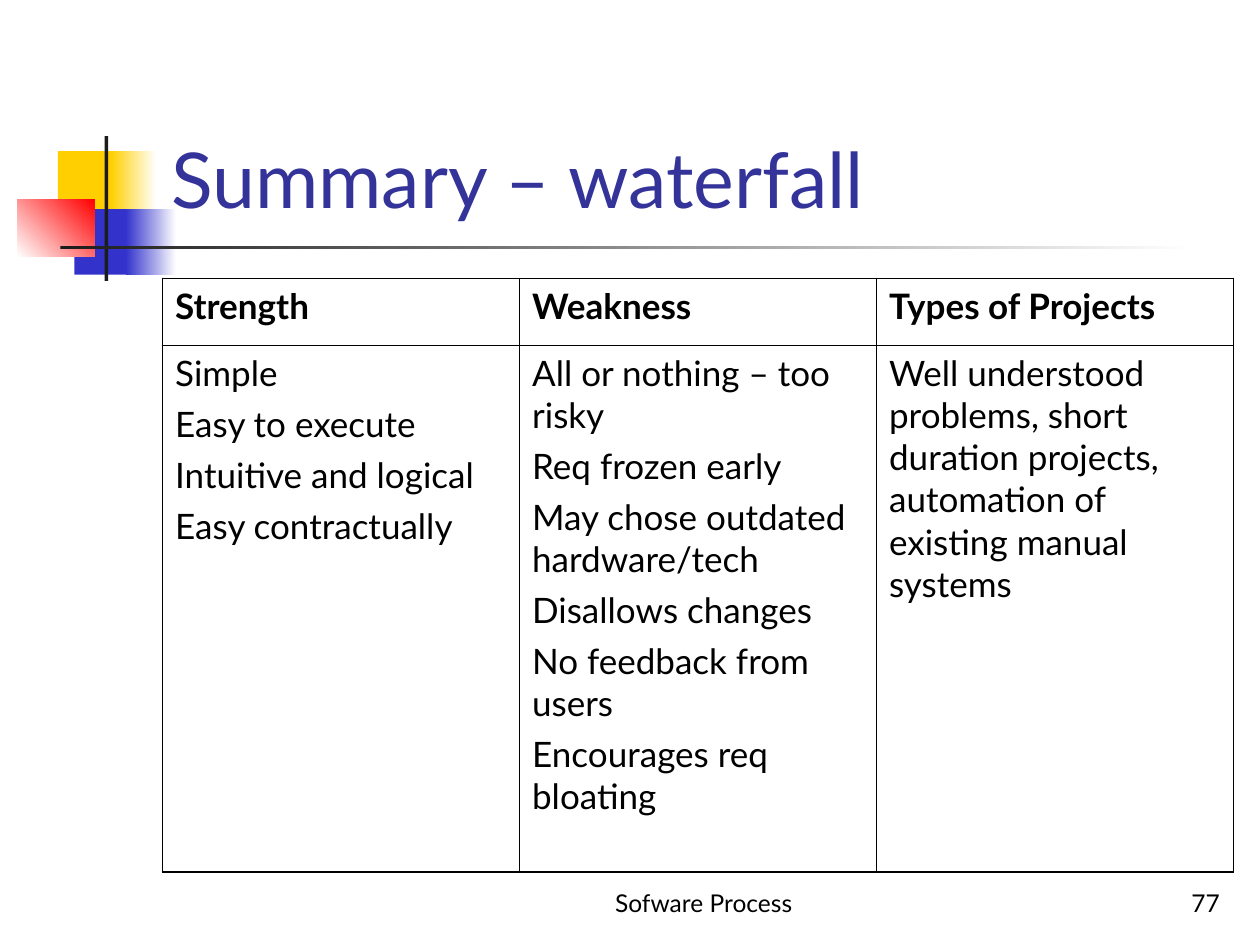
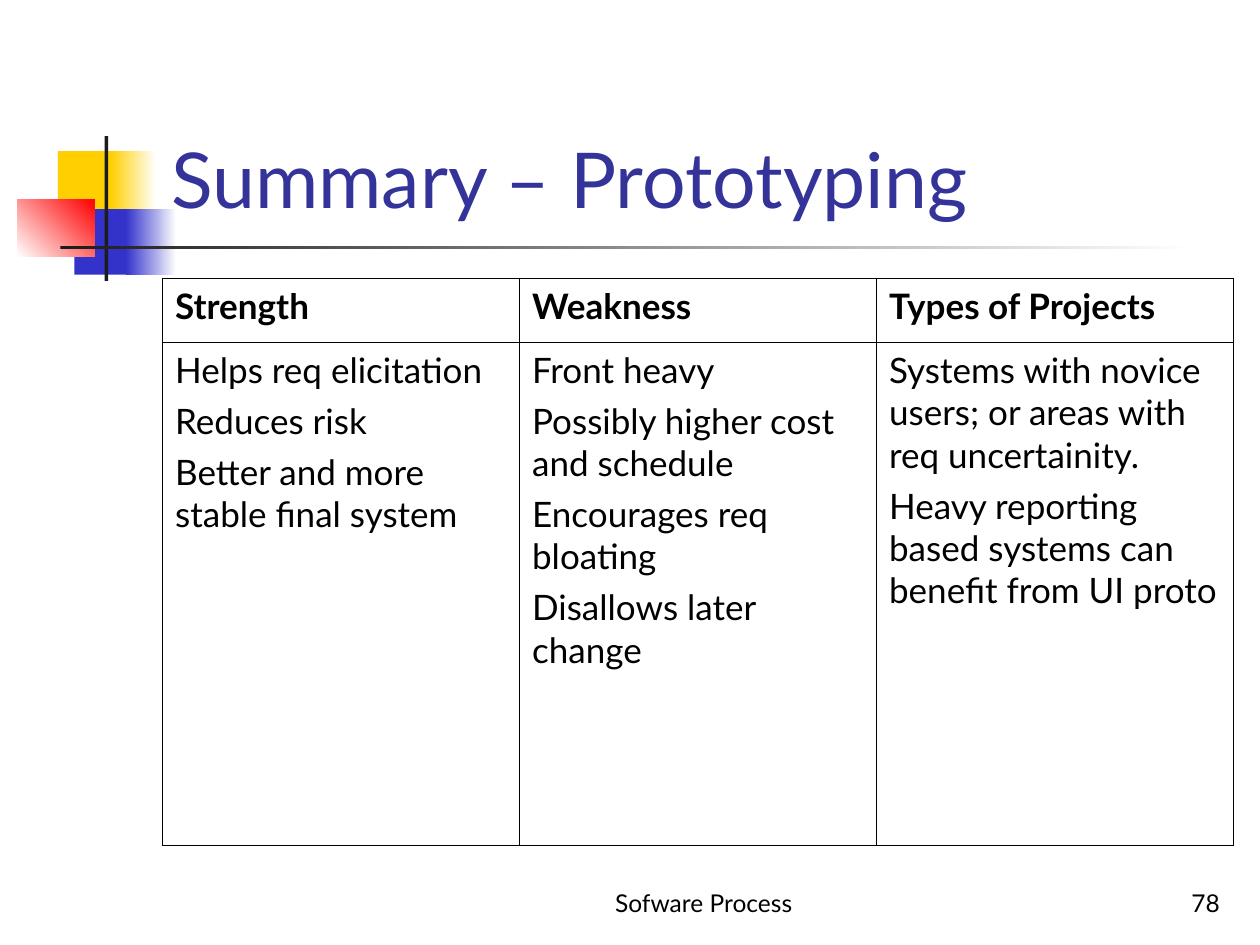
from dataclasses import dataclass

from lxml import etree
from pptx import Presentation
from pptx.dml.color import RGBColor
from pptx.enum import shapes, text
from pptx.oxml import ns
from pptx.util import Inches, Pt


@dataclass(frozen=True)
class Theme:
    font: str = "Lato"
    title: str = "333399"
    ink: str = "000000"
    yellow: str = "FFCF01"
    blue: str = "3333CC"
    red: str = "FF0000"
    bar: str = "1C1C1C"
    white: str = "FFFFFF"
    title_size: int = 44
    table_size: int = 20
    footer_size: int = 14
    outer_line: float = 1.08
    inner_line: float = 0.45


T = Theme()
LEFT, CENTER, RIGHT = text.PP_ALIGN.LEFT, text.PP_ALIGN.CENTER, text.PP_ALIGN.RIGHT

TITLE_BOX = (1.26, 0.23, 8.52, 1.6)
LOGO_BOX = (0.14, 1.08)
FOOTER_BOX = (4, 6.83, 3.17, 0.5)
NUMBER_BOX = (7.7, 6.83, 2.08, 0.5)
TABLE_BOX = (1.29, 2.21, 8.5)

# Offsets from the corner of the motif, size, colours and angle
MOTIF = [
    ((0.32, 0.12, 0.48, 0.52), (T.yellow,), 0),
    ((0.74, 0.12, 0.36, 0.52), (T.yellow, T.white), 0),
    ((0.45, 0.58, 0.46, 0.52), (T.blue,), 0),
    ((0.86, 0.58, 0.4, 0.52), (T.blue, T.white), 0),
    ((0, 0.5, 0.61, 0.46), (T.white, T.red), 45),
    ((0.69, 0, 0.03, 1.15), (T.bar,), 0),
    ((0.34, 0.87, 9, 0.03), (T.bar, T.white), 0),
]

HEADINGS = ["Strength", "Weakness", "Types of Projects"]
SLIDES = [
    dict(
        title="Summary – waterfall", number=77, heights=(0.53, 4.18),
        columns=[
            ["Simple", "Easy to execute", "Intuitive and logical", "Easy contractually"],
            ["All or nothing – too risky", "Req frozen early",
             "May chose outdated hardware/tech", "Disallows changes",
             "No feedback from users", "Encourages req bloating"],
            ["Well understood problems, short duration projects, "
             "automation of existing manual systems"],
        ],
    ),
    dict(
        title="Summary – Prototyping", number=78, heights=(0.51, 3.99),
        columns=[
            ["Helps req elicitation", "Reduces risk", "Better and more stable final system"],
            ["Front heavy", "Possibly higher cost and schedule",
             "Encourages req bloating", "Disallows later change"],
            ["Systems with novice users; or areas with req uncertainity.",
             "Heavy reporting based systems can benefit from UI proto"],
        ],
    ),
]


def apply(target, values):
    for name, value in values.items():
        setattr(target, name, value)


def write(tf, lines, size, color=T.ink, bold=False, **paragraph_format):
    for i, line in enumerate(lines):
        p = tf.add_paragraph() if i else tf.paragraphs[0]
        apply(p, paragraph_format)
        r = p.add_run()
        r.text = line
        apply(r.font, dict(name=T.font, size=Pt(size), bold=bold))
        r.font.color.rgb = RGBColor.from_string(color)


def add_motif(slide, box):
    left, top = box
    for (dx, dy, w, h), colors, angle in MOTIF:
        sp = slide.shapes.add_shape(
            shapes.MSO_SHAPE.RECTANGLE,
            Inches(left + dx), Inches(top + dy), Inches(w), Inches(h))
        sp.shadow.inherit = False
        sp.line.fill.background()
        if len(colors) == 1:
            sp.fill.solid()
            sp.fill.fore_color.rgb = RGBColor.from_string(colors[0])
            continue
        sp.fill.gradient()
        sp.fill.gradient_angle = angle
        for stop, color, position in zip(sp.fill.gradient_stops, colors, (0, 1)):
            stop.color.rgb = RGBColor.from_string(color)
            stop.position = position


def add_title(slide, box, title):
    sp = slide.shapes.title
    apply(sp, dict(zip(("left", "top", "width", "height"), map(Inches, box))))
    apply(sp.text_frame, dict(word_wrap=True, auto_size=text.MSO_AUTO_SIZE.NONE,
                              vertical_anchor=text.MSO_ANCHOR.BOTTOM))
    write(sp.text_frame, [title], T.title_size, T.title, alignment=LEFT)
    # The title lies in front of the motif
    slide.shapes.element.append(sp.element)


def add_footer(slide, box, words, alignment):
    tf = slide.shapes.add_textbox(*map(Inches, box)).text_frame
    apply(tf, dict(word_wrap=True, vertical_anchor=text.MSO_ANCHOR.BOTTOM))
    write(tf, [words], T.footer_size, alignment=alignment)


def set_borders(cell, widths):
    tc_pr = cell._tc.get_or_add_tcPr()
    for i, (side, width) in enumerate(widths.items()):
        ln = etree.Element(ns.qn(f"a:ln{side}"), w=str(Pt(width)))
        fill = etree.SubElement(ln, ns.qn("a:solidFill"))
        etree.SubElement(fill, ns.qn("a:srgbClr"), val=T.ink)
        tc_pr.insert(i, ln)


def add_summary_table(slide, box, columns, heights):
    left, top, width = box
    rows = [[[heading] for heading in HEADINGS], columns]
    last_row, last_col = len(rows) - 1, len(HEADINGS) - 1
    table = slide.shapes.add_table(
        len(rows), len(HEADINGS), Inches(left), Inches(top),
        Inches(width), Inches(sum(heights))).table
    apply(table, dict(first_row=False, horz_banding=False))
    for row, height in zip(table.rows, heights):
        row.height = Inches(height)
    for y, row in enumerate(rows):
        for x, lines in enumerate(row):
            cell = table.cell(y, x)
            cell.fill.background()
            write(cell.text_frame, lines, T.table_size, bold=y == 0,
                  space_before=Pt(5), alignment=LEFT)
            # Heavier lines run round the outside of the table
            outside = dict(L=x == 0, R=x == last_col, T=y == 0, B=y == last_row)
            set_borders(cell, {side: T.outer_line if edge else T.inner_line
                               for side, edge in outside.items()})


def add_summary_slide(prs, title, number, columns, heights):
    slide = prs.slides.add_slide(prs.slide_layouts.get_by_name("Title Only"))
    add_motif(slide, LOGO_BOX)
    add_footer(slide, FOOTER_BOX, "Sofware Process", CENTER)
    add_footer(slide, NUMBER_BOX, str(number), RIGHT)
    add_title(slide, TITLE_BOX, title)
    add_summary_table(slide, TABLE_BOX, columns, heights)


def main():
    prs = Presentation()
    apply(prs, dict(slide_width=Inches(10), slide_height=Inches(7.5)))
    for content in SLIDES:
        add_summary_slide(prs, **content)
    prs.save("out.pptx")


if __name__ == "__main__":
    main()
